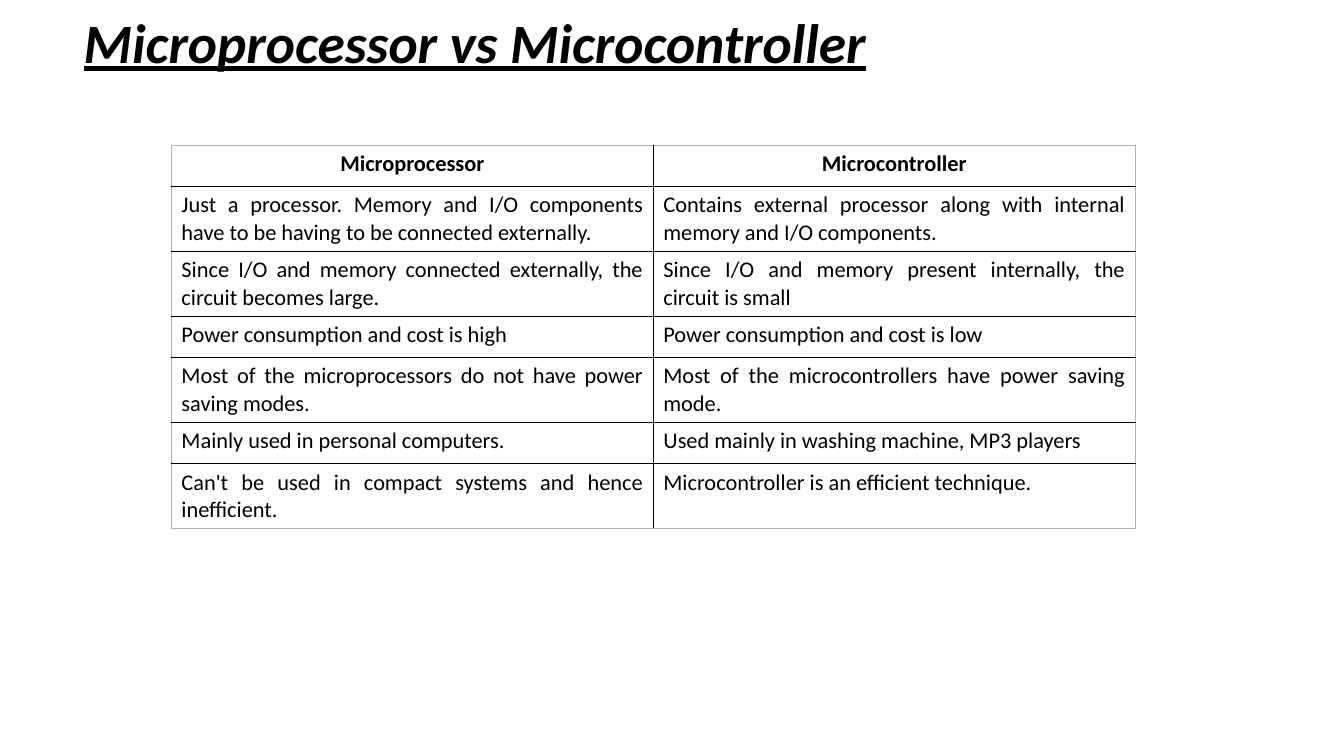
from lxml import etree
from pptx import Presentation
from pptx.dml.color import RGBColor
from pptx.enum.text import MSO_ANCHOR, PP_ALIGN
from pptx.oxml.ns import qn
from pptx.util import Inches, Pt

TITLE_ONLY = 5
MIDDLE, TOP = MSO_ANCHOR.MIDDLE, MSO_ANCHOR.TOP
LEFT, CENTER, JUSTIFY = PP_ALIGN.LEFT, PP_ALIGN.CENTER, PP_ALIGN.JUSTIFY
BLACK, WHITE, FRAME_GRAY = "000000", "FFFFFF", "B2B2B2"
TITLE_FORMAT = {"name": "Calibri", "size": Pt(39.6), "bold": True,
                "italic": True, "underline": True}
CELL_FORMAT = {"name": "Calibri", "size": Pt(16)}
ONE_LINE, TWO_LINES = 0.41, 0.64

# Row height in inches, microprocessor, microcontroller
COMPARISON = [
    (ONE_LINE, "Microprocessor", "Microcontroller"),
    (TWO_LINES,
     "Just a processor. Memory and I/O components have to be having to be connected externally.",
     "Contains external processor along with internal memory and I/O components."),
    (TWO_LINES,
     "Since I/O and memory connected externally, the circuit becomes large.",
     "Since I/O and memory present internally, the circuit is small"),
    (ONE_LINE, "Power consumption and cost is high", "Power consumption and cost is low"),
    (TWO_LINES,
     "Most of the microprocessors do not have power saving modes.",
     "Most of the microcontrollers have power saving mode."),
    (ONE_LINE, "Mainly used in personal computers.", "Used mainly in washing machine, MP3 players"),
    (TWO_LINES,
     "Can't be used in compact systems and hence inefficient.",
     "Microcontroller is an efficient technique."),
]


def rgb(hex_color):
    return RGBColor.from_string(hex_color)


def write(paragraph, text, alignment, formats):
    paragraph.text = text
    paragraph.alignment = alignment
    font = paragraph.runs[0].font
    for attribute, value in formats.items():
        setattr(font, attribute, value)
    font.color.rgb = rgb(BLACK)


def add_title(slide, text):
    title = slide.shapes.title
    title.left, title.top = Inches(0.73), Inches(0.1)
    title.width, title.height = Inches(11.5), Inches(0.7)
    frame = title.text_frame
    frame.word_wrap = True
    frame.vertical_anchor = MIDDLE
    write(frame.paragraphs[0], text, LEFT, TITLE_FORMAT)
    frame.paragraphs[0].line_spacing = 0.9


def set_borders(cell, colors):
    """Draw one-point borders; colors maps L, R, T and B, in that order."""
    properties = cell._tc.get_or_add_tcPr()
    for position, (side, color) in enumerate(colors.items()):
        line = etree.Element(qn(f"a:ln{side}"), w=str(Pt(1)))
        fill = etree.SubElement(line, qn("a:solidFill"))
        etree.SubElement(fill, qn("a:srgbClr"), val=color)
        properties.insert(position, line)


def add_comparison(slide, rows):
    row_count, column_count = len(rows), 2
    table = slide.shapes.add_table(
        row_count, column_count, Inches(1.7), Inches(1.44), Inches(9.56),
        Inches(sum(row[0] for row in rows))).table
    table.horz_banding = False
    for row_index, (height, *texts) in enumerate(rows):
        table.rows[row_index].height = Inches(height)
        is_header = row_index == 0
        for column_index, text in enumerate(texts):
            cell = table.cell(row_index, column_index)
            cell.vertical_anchor = TOP
            cell.fill.solid()
            cell.fill.fore_color.rgb = rgb(WHITE)
            write(cell.text_frame.paragraphs[0], text,
                  CENTER if is_header else JUSTIFY,
                  {**CELL_FORMAT, "bold": is_header})
            on_frame = {"L": column_index == 0,
                        "R": column_index == column_count - 1,
                        "T": is_header,
                        "B": row_index == row_count - 1}
            set_borders(cell, {side: FRAME_GRAY if outer else BLACK
                               for side, outer in on_frame.items()})


def main():
    presentation = Presentation()
    presentation.slide_width, presentation.slide_height = Inches(13.33), Inches(7.5)
    slide = presentation.slides.add_slide(presentation.slide_layouts[TITLE_ONLY])
    add_title(slide, "Microprocessor vs Microcontroller")
    add_comparison(slide, COMPARISON)
    presentation.save("out.pptx")


if __name__ == "__main__":
    main()
